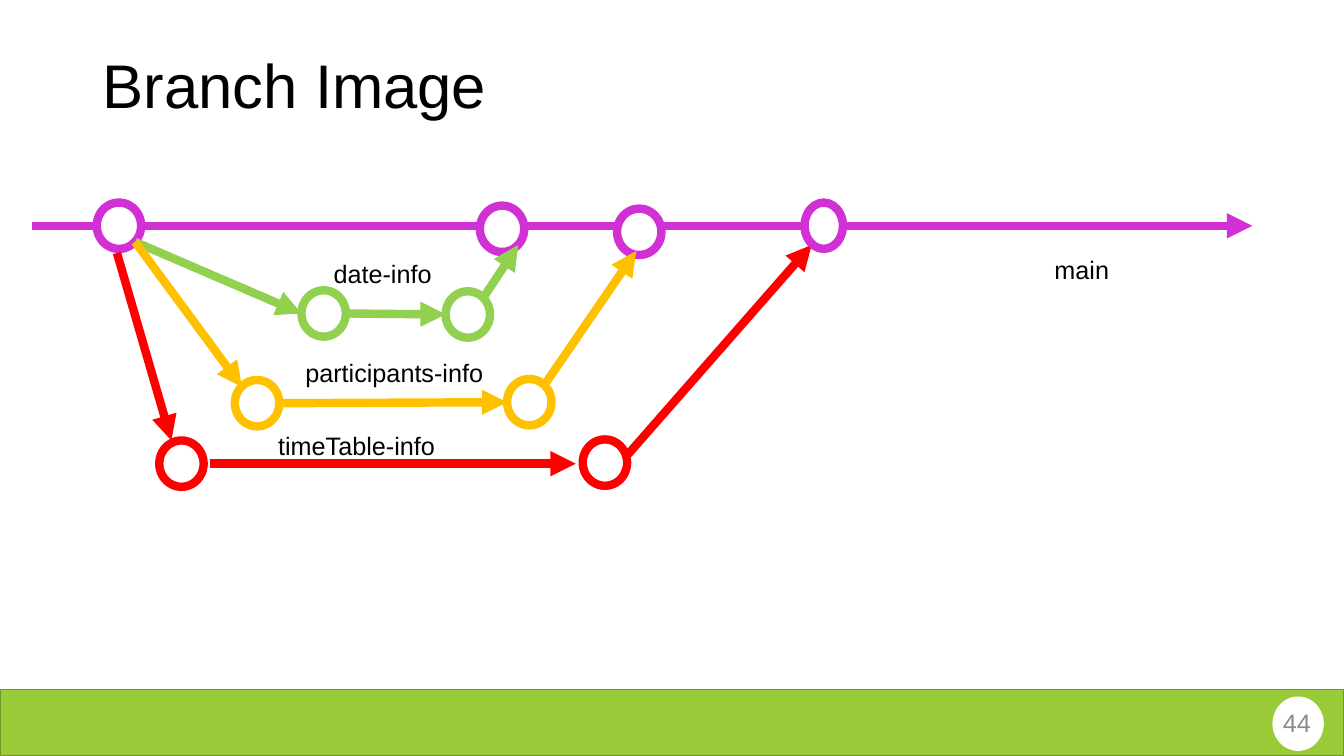
import itertools
from dataclasses import dataclass

import pptx
import pptx.dml.color
import pptx.enum.shapes
import pptx.enum.text
import pptx.oxml.ns
import pptx.util
from lxml import etree

Inches = pptx.util.Inches
Color = pptx.dml.color.RGBColor.from_string
Shapes = pptx.enum.shapes.MSO_SHAPE
Align = pptx.enum.text.PP_ALIGN


@dataclass(frozen=True)
class Theme:
    font: str = "Arial"
    title_size: int = 44
    text_size: int = 18
    track_width: int = 6
    black: str = "000000"
    white: str = "FFFFFF"
    grey: str = "8C8C8C"
    band: str = "99CB38"
    band_edge: str = "719629"
    purple: str = "D030D4"
    green: str = "92D050"
    yellow: str = "FFC000"
    red: str = "FF0000"


theme = Theme()
NODE_HEIGHT = 0.46


def write_text(shape, text, size=theme.text_size, color=theme.black,
               align=Align.LEFT, anchor=pptx.enum.text.MSO_ANCHOR.TOP, line_spacing=None):
    frame = shape.text_frame
    frame.word_wrap = True
    frame.vertical_anchor = anchor
    paragraph = frame.paragraphs[0]
    paragraph.text = text
    paragraph.alignment = align
    paragraph.line_spacing = line_spacing
    paragraph.font.name = theme.font
    paragraph.font.size = pptx.util.Pt(size)
    paragraph.font.color.rgb = Color(color)


def add_filled_shape(kind, box, fill, line=None, line_width=1):
    shape = slide.shapes.add_shape(kind, *map(Inches, box))
    shape.shadow.inherit = False
    shape.fill.solid()
    shape.fill.fore_color.rgb = Color(fill)
    if line:
        shape.line.color.rgb = Color(line)
        shape.line.width = pptx.util.Pt(line_width)
    else:
        shape.line.fill.background()


presentation = pptx.Presentation()
presentation.slide_width = Inches(13.33)
presentation.slide_height = Inches(7.5)
slide = presentation.slides.add_slide(presentation.slide_layouts[5])

# Footer band with the page number
middle = pptx.enum.text.MSO_ANCHOR.MIDDLE
add_filled_shape(Shapes.RECTANGLE, (0, 6.84, 13.33, 0.66), theme.band, theme.band_edge)
add_filled_shape(Shapes.OVAL, (12.62, 6.91, 0.51, 0.54), theme.white)
page_number = slide.shapes.add_textbox(Inches(10.1), Inches(6.97), Inches(3), Inches(0.4))
write_text(page_number, "44", color=theme.grey, align=Align.RIGHT, anchor=middle)

title = slide.shapes.title
title.left, title.top = Inches(0.92), Inches(0.15)
title.width, title.height = Inches(11.5), Inches(1.45)
write_text(title, "Branch Image", size=theme.title_size, anchor=middle, line_spacing=0.9)

# Each track: color, node width, arrows (from x, y, to x, y), nodes (left, top)
tracks = [
    (theme.purple, 0.44, [(0.32, 2.24, 12.42, 2.24)],
     [(0.96, 2.01), (4.76, 2.04), (6.12, 2.07)]),
    (theme.green, 0.44,
     [(1.34, 2.4, 2.99, 3.11), (3.43, 3.11, 4.42, 3.12), (4.79, 2.96, 5.14, 2.43)],
     [(2.99, 2.88), (4.42, 2.89)]),
    (theme.yellow, 0.44,
     [(1.34, 2.4, 2.4, 3.84), (2.77, 4, 5.03, 3.99), (5.42, 3.79, 6.31, 2.49)],
     [(2.33, 3.77), (5.03, 3.76)]),
    (theme.red, 0.44,
     [(1.16, 2.51, 1.7, 4.37), (2.08, 4.6, 5.71, 4.6), (6.2, 4.54, 8.05, 2.43)],
     [(1.58, 4.37), (5.78, 4.36)]),
    # The last merge covers the tip of the red arrow
    (theme.purple, 0.38, [], [(7.98, 2.01)]),
]

# Arrows and nodes alternate, so every node lies over the arrow that reaches it
for color, node_width, arrows, nodes in tracks:
    for arrow, node in itertools.zip_longest(arrows, nodes):
        if arrow:
            connector = slide.shapes.add_connector(
                pptx.enum.shapes.MSO_CONNECTOR.STRAIGHT, *map(Inches, arrow))
            connector.line.color.rgb = Color(color)
            connector.line.width = pptx.util.Pt(theme.track_width)
            etree.SubElement(connector.line._get_or_add_ln(),
                             pptx.oxml.ns.qn("a:tailEnd"), type="triangle")
            etree.SubElement(connector._element.spPr, pptx.oxml.ns.qn("a:effectLst"))
        if node:
            add_filled_shape(Shapes.OVAL, (*node, node_width, NODE_HEIGHT),
                             theme.white, color, theme.track_width)

branch_labels = [
    ("main", 10.36, 2.47, 0.82),
    ("date-info", 3.21, 2.51, 1.39),
    ("participants-info", 2.93, 3.5, 2.33),
    ("timeTable-info", 2.66, 4.22, 1.76),
]
for name, left, top, width in branch_labels:
    label = slide.shapes.add_textbox(Inches(left), Inches(top), Inches(width), Inches(0.4))
    write_text(label, name)

presentation.save("out.pptx")
